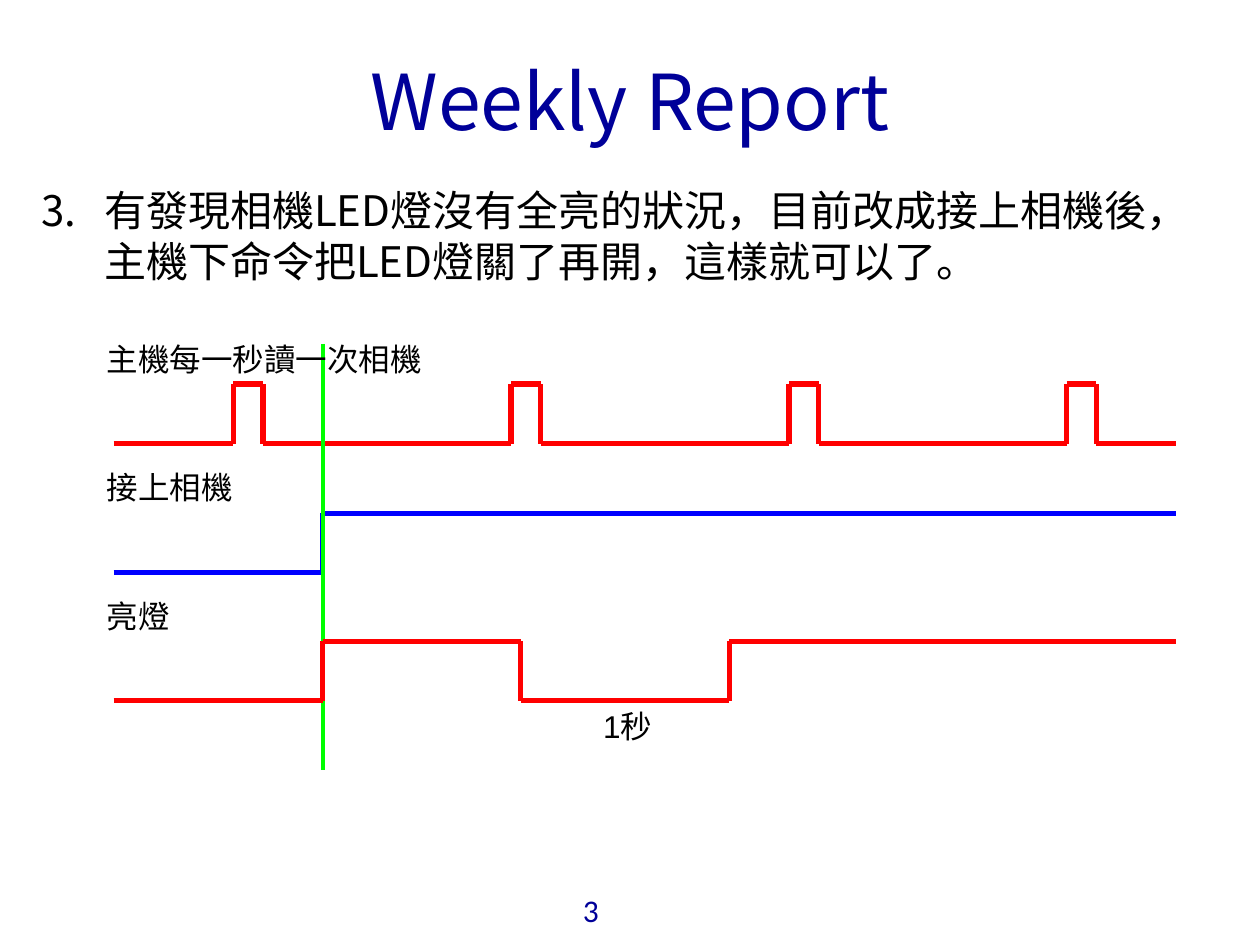
"""Build the weekly report slide with its camera timing diagram."""
from pptx import Presentation
from pptx.dml.color import RGBColor
from pptx.enum import shapes, text
from pptx.oxml import xmlchemy as x
from pptx.util import Pt

NAVY, BLACK, RED, BLUE, GREEN = "000099", "000000", "FF0000", "0000FF", "00FF00"
SANS, LATIN, NUMBER = "Noto Sans CJK SC", "Arial", "Calibri"
TITLE = "Weekly Report"
FINDING = "有發現相機LED燈沒有全亮的狀況，目前改成接上相機後，主機下命令把LED燈關了再開，這樣就可以了。"
LABELS = [
    ("主機每一秒讀一次相機", 54, 191, 227),
    ("接上相機", 54, 264, 227),
    ("亮燈", 54, 337.5, 227),
    ("1秒", 337.5, 400.5, 51),
]
START, END, CONNECTED, AMPLITUDE = 65, 672, 184.5, 34
FIRST_PULSE, PERIOD, PULSE_WIDTH, PULSES = 133.3, 158.75, 17, 4
READ_EDGES = [
    edge
    for index in range(PULSES)
    for edge in (FIRST_PULSE + index * PERIOD, FIRST_PULSE + index * PERIOD + PULSE_WIDTH)
]
SIGNALS = [
    (RED, 253.5, READ_EDGES),
    (BLUE, 327.3, [CONNECTED]),
    (RED, 400.5, [CONNECTED, 297.5, 416.8]),
]


def color(value):
    return RGBColor.from_string(value)


def add_child(parent, tag, **attributes):
    child = x.OxmlElement(tag)
    for name, value in attributes.items():
        child.set(name, value)
    parent.append(child)
    return child


def add_text(slide, content, box, size, font, fill=BLACK):
    shape = slide.shapes.add_textbox(*map(Pt, box))
    shape.text_frame.word_wrap = True
    paragraph = shape.text_frame.paragraphs[0]
    run = paragraph.add_run()
    run.text = content
    run.font.size = Pt(size)
    run.font.name = font
    run.font.color.rgb = color(fill)
    if font == SANS:
        add_child(run.font._element, "a:ea", typeface=font)
    return shape, paragraph


def add_line(slide, start, end, stroke, width):
    line = slide.shapes.add_connector(
        shapes.MSO_CONNECTOR.STRAIGHT, *map(Pt, (*start, *end)))
    line.line.color.rgb = color(stroke)
    line.line.width = Pt(width)
    add_child(line._element.spPr, "a:effectLst")


def add_signal(slide, stroke, low, edges):
    level, left = low, START
    for edge in edges:
        other = 2 * low - AMPLITUDE - level
        add_line(slide, (left, level), (edge, level), stroke, 3)
        add_line(slide, (edge, level), (edge, other), stroke, 3)
        level, left = other, edge
    add_line(slide, (left, level), (END, level), stroke, 3)


def main():
    presentation = Presentation()
    presentation.slide_width, presentation.slide_height = Pt(720), Pt(540)
    slide = presentation.slides.add_slide(presentation.slide_layouts[6])

    add_text(slide, "3", (326, 505.5, 40, 29.5), 18, NUMBER, NAVY)
    title, paragraph = add_text(slide, TITLE, (36, 18, 648, 78), 44, SANS, NAVY)
    title.text_frame.vertical_anchor = text.MSO_ANCHOR.MIDDLE
    paragraph.alignment = text.PP_ALIGN.CENTER

    _, paragraph = add_text(slide, FINDING, (16.5, 102, 664, 65), 24, SANS)
    properties = paragraph._p.get_or_add_pPr()
    properties.set("marL", str(Pt(36)))
    properties.set("indent", str(-Pt(36)))
    add_child(properties, "a:buFont", typeface=SANS)
    add_child(properties, "a:buAutoNum", type="arabicPeriod", startAt="3")

    read, connection, lamp = SIGNALS
    add_signal(slide, *read)
    add_signal(slide, *connection)
    add_line(slide, (CONNECTED, 196.5), (CONNECTED, 440), GREEN, 2.25)
    add_signal(slide, *lamp)
    for content, left, top, width in LABELS:
        _, paragraph = add_text(slide, content, (left, top, width, 29), 18, LATIN)
        paragraph.space_before = Pt(11.2)

    presentation.save("out.pptx")


if __name__ == "__main__":
    main()
